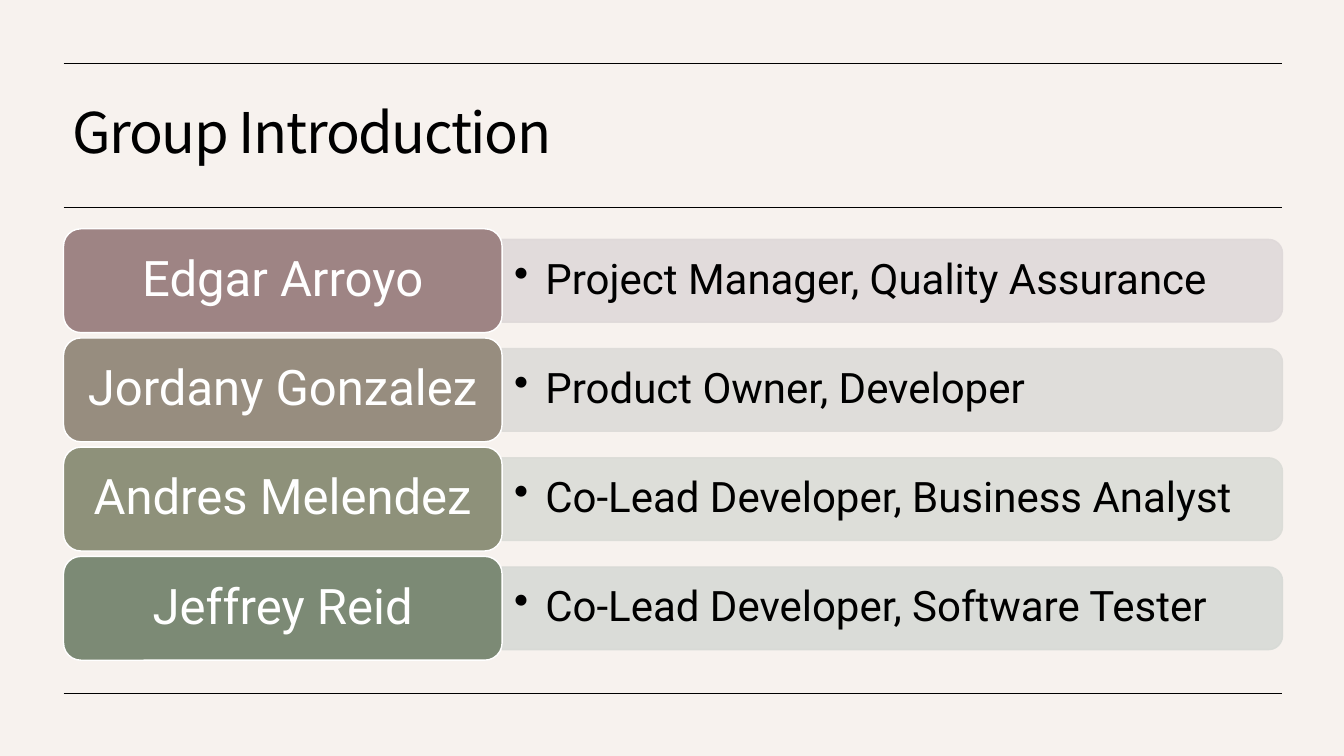
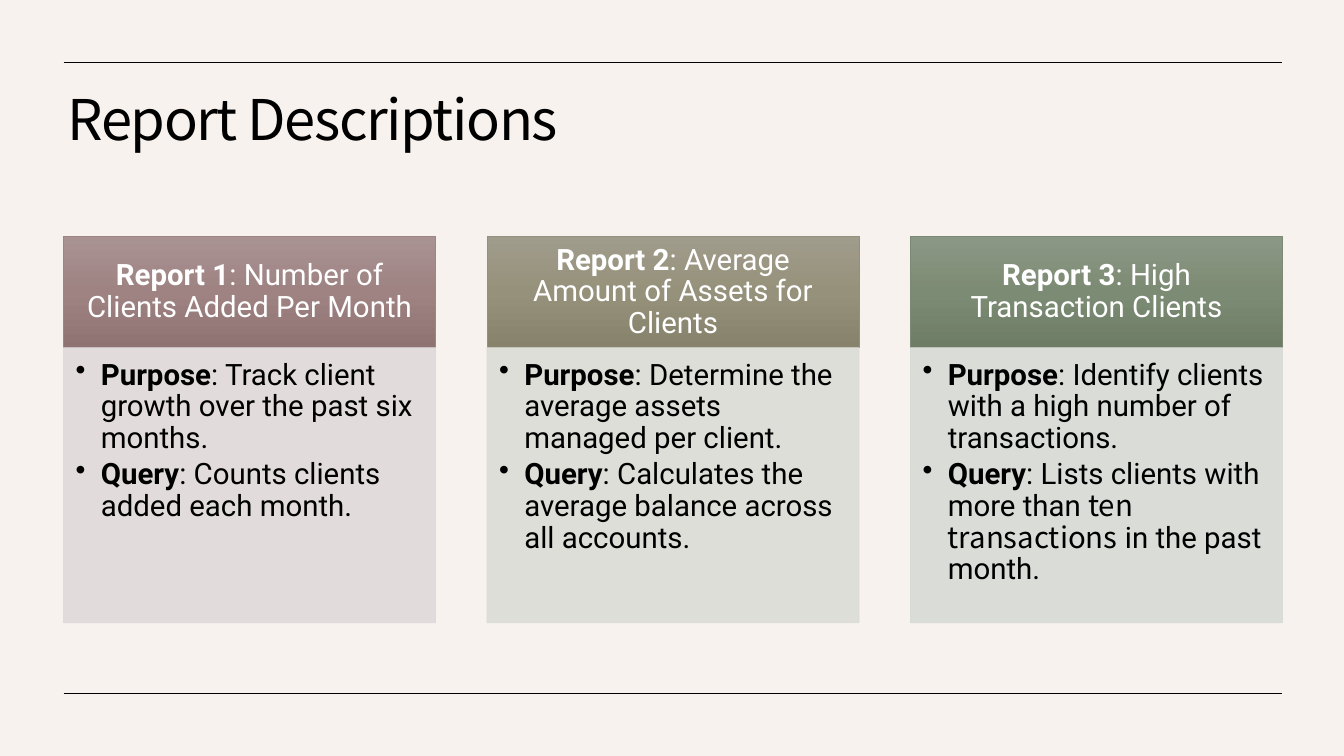
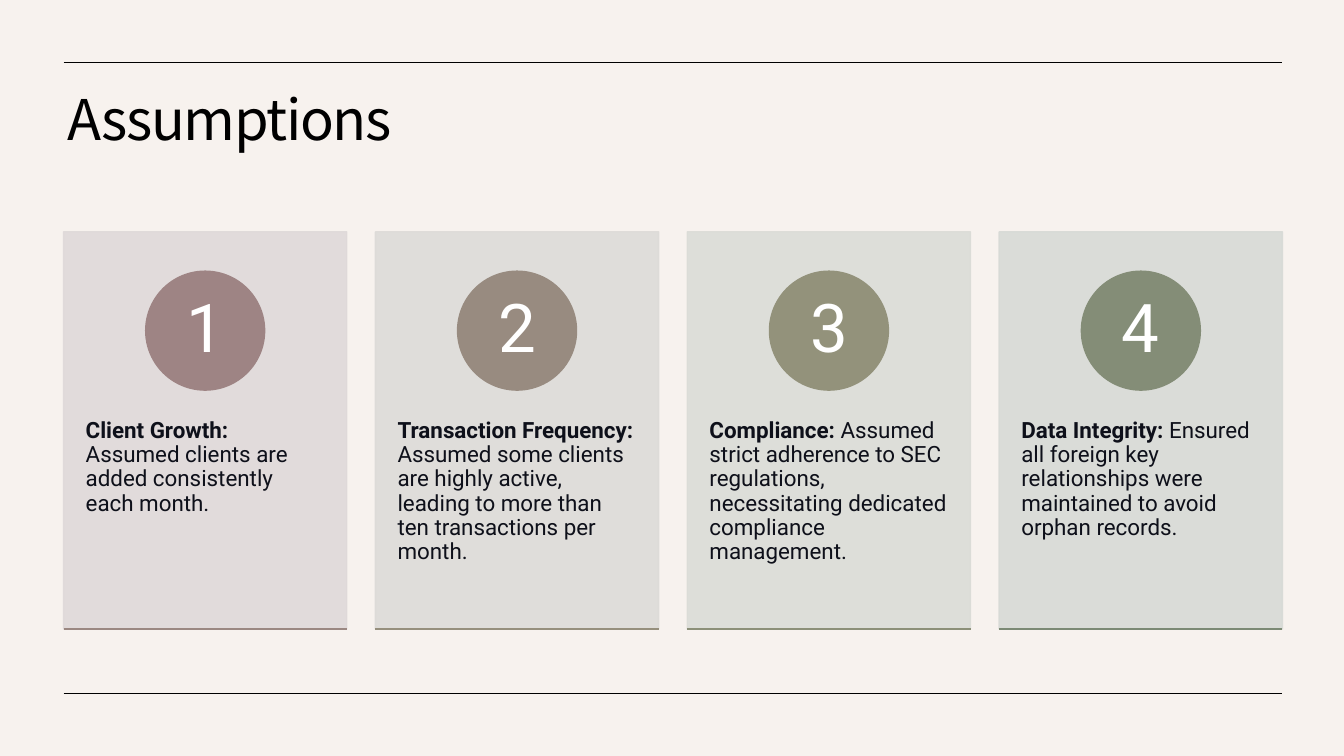
import copy

import pptx
import pptx.dml.color
import pptx.enum.shapes
import pptx.enum.text
import pptx.oxml
import pptx.oxml.ns
import pptx.util

Inches = pptx.util.Inches
Pt = pptx.util.Pt
RGBColor = pptx.dml.color.RGBColor
Shape = pptx.enum.shapes.MSO_SHAPE
Align = pptx.enum.text.PP_ALIGN
Anchor = pptx.enum.text.MSO_ANCHOR
qn = pptx.oxml.ns.qn

CREAM = RGBColor(0xF7, 0xF2, 0xEE)
BLACK = RGBColor(0x00, 0x00, 0x00)
WHITE = RGBColor(0xFF, 0xFF, 0xFF)
INK = RGBColor(0x0E, 0x10, 0x1A)
ROSE = RGBColor(0x9E, 0x84, 0x84)
TAUPE = RGBColor(0x97, 0x8D, 0x7F)
WARM_TAUPE = RGBColor(0x98, 0x8B, 0x80)
OLIVE = RGBColor(0x8E, 0x91, 0x7A)
KHAKI = RGBColor(0x94, 0x90, 0x7C)
WARM_OLIVE = RGBColor(0x93, 0x92, 0x7B)
SAGE = RGBColor(0x7C, 0x8A, 0x75)
PALE_SAGE = RGBColor(0x84, 0x8D, 0x77)
ROSE_EDGE = RGBColor(0x9B, 0x88, 0x82)
TAUPE_EDGE = RGBColor(0x96, 0x8F, 0x7D)
OLIVE_EDGE = RGBColor(0x8C, 0x90, 0x79)
ROSE_TINT = RGBColor(0xDF, 0xD9, 0xD9)
TAUPE_TINT = RGBColor(0xDD, 0xDB, 0xD8)
KHAKI_TINT = RGBColor(0xDC, 0xDC, 0xD7)
OLIVE_TINT = RGBColor(0xDB, 0xDC, 0xD7)
SAGE_TINT = RGBColor(0xD7, 0xDA, 0xD6)
ROSE_GRADIENT = [RGBColor(0xA9, 0x92, 0x92), RGBColor(0x9F, 0x83, 0x83), RGBColor(0x8F, 0x73, 0x73)]
KHAKI_GRADIENT = [RGBColor(0xA0, 0x9C, 0x8B), RGBColor(0x95, 0x91, 0x7B), RGBColor(0x86, 0x82, 0x6C)]
SAGE_GRADIENT = [RGBColor(0x8B, 0x97, 0x85), RGBColor(0x7C, 0x8B, 0x74), RGBColor(0x6E, 0x7C, 0x66)]

TITLE_FONT = "Noto Sans CJK KR"
BODY_FONT = "Roboto"
LEFT = 0.63
WIDTH = 12.09
TITLE_BOX = (0.57, 0.86, 12.15, 1.15)


def column_left(index, count, width):
    return LEFT + index * (WIDTH - width) / (count - 1)


class Deck:
    def __init__(self):
        self.presentation = pptx.Presentation()
        self.presentation.slide_width = Inches(13.33)
        self.presentation.slide_height = Inches(7.5)
        background = self.presentation.slide_master.background.fill
        background.solid()
        background.fore_color.rgb = CREAM
        self.slide = None

    def add_slide(self, title, box=TITLE_BOX, anchor=Anchor.TOP, rules=(0.62, 6.88)):
        self.slide = self.presentation.slides.add_slide(self.presentation.slide_layouts[5])
        shape = self.slide.shapes.title
        shape.left, shape.top, shape.width, shape.height = map(Inches, box)
        shape.text_frame.auto_size = pptx.enum.text.MSO_AUTO_SIZE.NONE
        self.add_text(shape, [[(title, False, TITLE_FONT)]], 40, BLACK,
                      insets=(0.1, 0.05, 0.1, 0.05), anchor=anchor)
        shape.text_frame.paragraphs[0].runs[0].font._element.set("spc", "-100")
        for y in rules:
            self.rule(LEFT, y, WIDTH, BLACK, 0.5)

    def rule(self, left, y, width, color, weight):
        line = self.slide.shapes.add_connector(
            pptx.enum.shapes.MSO_CONNECTOR.STRAIGHT,
            Inches(left), Inches(y), Inches(left + width), Inches(y))
        line.line.color.rgb = color
        line.line.width = Pt(weight)
        line._element.spPr.append(pptx.oxml.parse_xml(
            f"<a:effectLst {pptx.oxml.ns.nsdecls('a')}/>"))

    def block(self, kind, box, fill, line, weight=1, alpha=None):
        shape = self.slide.shapes.add_shape(kind, *map(Inches, box))
        shape.shadow.inherit = False
        if isinstance(fill, list):
            self.gradient(shape, fill)
        else:
            shape.fill.solid()
            shape.fill.fore_color.rgb = fill
        shape.line.color.rgb = line
        shape.line.width = Pt(weight)
        if alpha:
            for color in shape._element.spPr.iter(qn("a:srgbClr")):
                color.append(pptx.oxml.parse_xml(
                    f"<a:alpha {pptx.oxml.ns.nsdecls('a')} val='{alpha * 1000}'/>"))
        return shape

    def gradient(self, shape, colors):
        shape.fill.gradient()
        shape.fill.gradient_angle = 270
        stops = shape._element.spPr.find(".//" + qn("a:gsLst"))
        stops.insert(1, copy.deepcopy(stops[0]))
        for index, (stop, color) in enumerate(zip(shape.fill.gradient_stops, colors)):
            stop.position = index / 2
            stop.color.rgb = color

    def text_box(self, box):
        return self.slide.shapes.add_textbox(*map(Inches, box))

    def add_text(self, shape, paragraphs, size, color, insets, anchor=Anchor.MIDDLE,
                 align=Align.LEFT, bullet_indent=None):
        frame = shape.text_frame
        frame.word_wrap = True
        frame.vertical_anchor = anchor
        frame.margin_left, frame.margin_top, frame.margin_right, frame.margin_bottom = map(Inches, insets)
        for index, runs in enumerate(paragraphs):
            paragraph = frame.add_paragraph() if index else frame.paragraphs[0]
            paragraph.alignment = align
            paragraph.line_spacing = 0.9
            if bullet_indent:
                paragraph.space_after = Pt(3)
                self.bullet(paragraph, Inches(bullet_indent))
            for text, bold, font in runs:
                run = paragraph.add_run()
                run.text = text
                run.font.name = font
                run.font.size = Pt(size)
                run.font.bold = bold
                run.font.color.rgb = color

    def bullet(self, paragraph, indent):
        properties = paragraph._p.get_or_add_pPr()
        properties.set("marL", str(indent))
        properties.set("indent", str(-indent))
        properties.append(pptx.oxml.parse_xml(
            f"<a:buChar {pptx.oxml.ns.nsdecls('a')} char='•'/>"))


def plain(text):
    return [(text, False, BODY_FONT)]


def labelled(label, text):
    return [(label, True, BODY_FONT), (text, False, BODY_FONT)]


def add_introduction(deck):
    deck.add_slide("Group Introduction", (0.62, 0.75, 12.08, 1.19), Anchor.MIDDLE,
                   rules=(0.63, 2.06, 6.88))
    members = [
        ("Edgar Arroyo", "Project Manager, Quality Assurance", ROSE, ROSE_TINT),
        ("Jordany Gonzalez", "Product Owner, Developer", TAUPE, TAUPE_TINT),
        ("Andres Melendez", "Co-Lead Developer, Business Analyst", OLIVE, OLIVE_TINT),
        ("Jeffrey Reid", "Co-Lead Developer, Software Tester", SAGE, SAGE_TINT),
    ]
    bar_left, bar_length, bar_height, name_height = 4.98, 7.74, 0.82, 1.03
    for index, (name, role, color, tint) in enumerate(members):
        top = 2.27 + 3.25 * index / 3
        middle = top + name_height / 2
        bar = deck.block(
            Shape.ROUND_2_SAME_RECTANGLE,
            (bar_left + (bar_length - bar_height) / 2, middle - bar_length / 2, bar_height, bar_length),
            tint, tint, alpha=90)
        bar.rotation = 90
        role_box = deck.text_box((bar_left, middle - 0.37, 7.7, 0.74))
        deck.add_text(role_box, [plain(role)], 30, BLACK, (0.12, 0.06, 0.12, 0.06), bullet_indent=0.31)
        name_block = deck.block(Shape.ROUNDED_RECTANGLE, (LEFT, top, 4.35, name_height), color, WHITE)
        deck.add_text(name_block, [plain(name)], 35, WHITE, (0.15, 0.07, 0.15, 0.07), align=Align.CENTER)


def add_reports(deck):
    deck.add_slide("Report Descriptions")
    reports = [
        ("Report 1", ": Number of Clients Added Per Month",
         ": Track client growth over the past six months.",
         plain(": Counts clients added each month."),
         ROSE_GRADIENT, ROSE, ROSE_TINT),
        ("Report 2", ": Average Amount of Assets for Clients",
         ": Determine the average assets managed per client.",
         plain(": Calculates the average balance across all accounts."),
         KHAKI_GRADIENT, KHAKI, KHAKI_TINT),
        ("Report 3", ": High Transaction Clients",
         ": Identify clients with a high number of transactions.",
         plain(": Lists clients with more than ")
         + [("ten transactions", False, TITLE_FONT)] + plain(" in the past month."),
         SAGE_GRADIENT, SAGE, SAGE_TINT),
    ]
    width = 3.69
    for index, (label, heading, purpose, query, colors, edge, tint) in enumerate(reports):
        left = column_left(index, len(reports), width)
        header = deck.block(Shape.RECTANGLE, (left, 2.35, width, 1.1), colors, edge, 0.5)
        deck.add_text(header, [labelled(label, heading)], 21, WHITE,
                      (0.16, 0.09, 0.16, 0.09), align=Align.CENTER)
        body = deck.block(Shape.RECTANGLE, (left, 3.45, width, 2.73), tint, tint, 0.5, alpha=90)
        deck.add_text(body, [labelled("Purpose", purpose), [("Query", True, BODY_FONT)] + query],
                      21, BLACK, (0.12, 0.12, 0.16, 0.18), Anchor.TOP, bullet_indent=0.25)


def add_assumptions(deck):
    deck.add_slide("Assumptions")
    assumptions = [
        ("Client Growth:", " Assumed clients are added consistently each month.",
         ROSE, ROSE_EDGE, ROSE_TINT),
        ("Transaction Frequency:",
         " Assumed some clients are highly active, leading to more than ten transactions per month.",
         WARM_TAUPE, TAUPE_EDGE, TAUPE_TINT),
        ("Compliance:",
         " Assumed strict adherence to SEC regulations, necessitating dedicated compliance management.",
         WARM_OLIVE, OLIVE_EDGE, OLIVE_TINT),
        ("Data Integrity:",
         " Ensured all foreign key relationships were maintained to avoid orphan records.",
         PALE_SAGE, SAGE, SAGE_TINT),
    ]
    width, diameter = 2.81, 1.18
    for index, (label, text, color, edge, tint) in enumerate(assumptions):
        left = column_left(index, len(assumptions), width)
        card = deck.block(Shape.RECTANGLE, (left, 2.3, width, 3.94), tint, tint, alpha=90)
        deck.add_text(card, [labelled(label, text)], 16, INK, (0.22, 1.86, 0.22, 0.36), Anchor.TOP)
        badge = deck.block(Shape.OVAL, (left + (width - diameter) / 2, 2.69, diameter, diameter), color, color)
        deck.add_text(badge, [plain(str(index + 1))], 48, WHITE, (0.09, 0.01, 0.09, 0.01), align=Align.CENTER)
        deck.rule(left, 6.24, width, edge, 1)


def main():
    deck = Deck()
    add_introduction(deck)
    add_reports(deck)
    add_assumptions(deck)
    deck.presentation.save("out.pptx")


if __name__ == "__main__":
    main()
